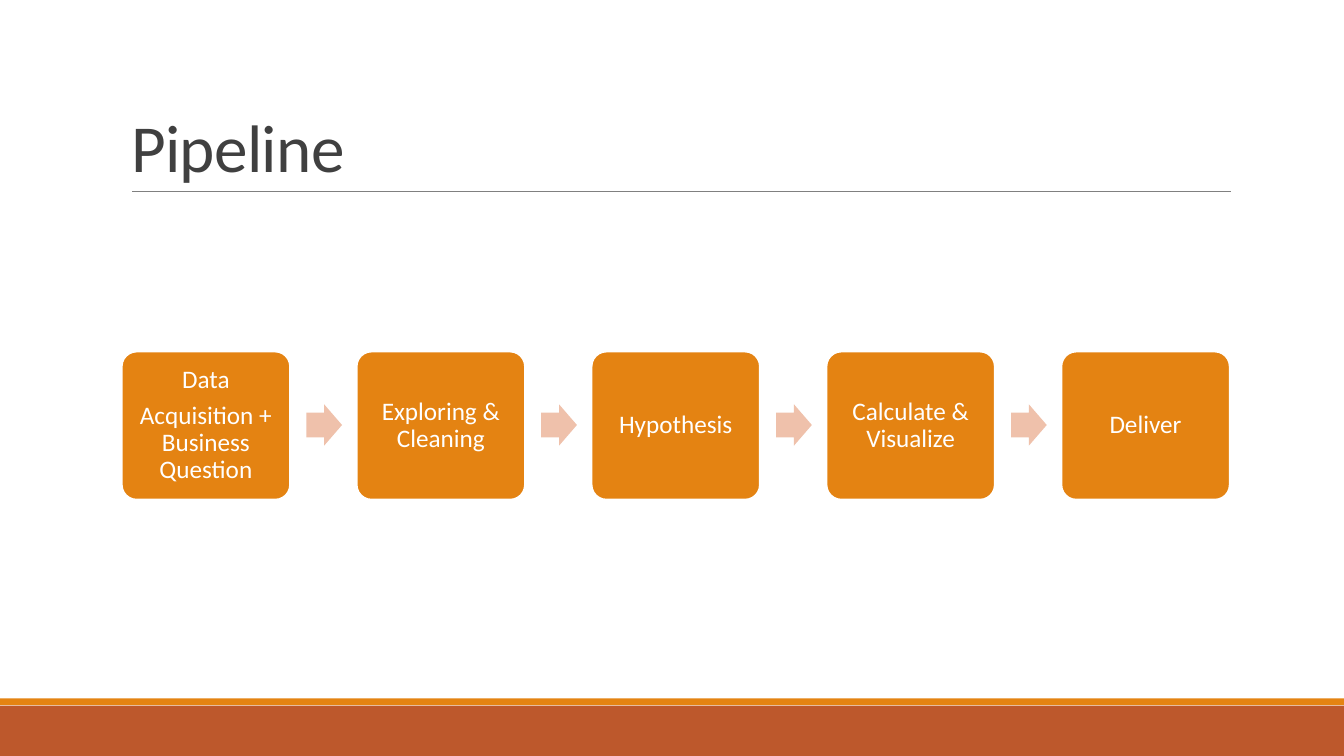
import pptx
import pptx.util
import pptx.dml.color
import pptx.enum.shapes
import pptx.enum.text
import pptx.oxml.ns
import lxml.etree

Cm = pptx.util.Cm
SHAPES = pptx.enum.shapes.MSO_SHAPE
ALIGN = pptx.enum.text.PP_ALIGN
ANCHOR = pptx.enum.text.MSO_ANCHOR

COLORS = {
    "orange": "E48312",
    "rust": "BD582C",
    "peach": "EFC1AB",
    "rule": "808080",
    "title": "404040",
    "white": "FFFFFF",
}
STAGES = [
    ["Data", "Acquisition + Business Question"],
    ["Exploring & Cleaning"],
    ["Hypothesis"],
    ["Calculate & Visualize"],
    ["Deliver"],
]


def rgb(name):
    return pptx.dml.color.RGBColor.from_string(COLORS[name])


def write(frame, paragraphs, size=18, color="white", align=ALIGN.CENTER,
          anchor=ANCHOR.MIDDLE, inset=None, leading=0.9, gap=6.3, tracking=None):
    frame.word_wrap = True
    frame.auto_size = pptx.enum.text.MSO_AUTO_SIZE.NONE
    frame.vertical_anchor = anchor
    if inset is not None:
        frame.margin_left = frame.margin_right = Cm(inset)
        frame.margin_top = frame.margin_bottom = Cm(inset)
    for index, text in enumerate(paragraphs):
        paragraph = frame.add_paragraph() if index else frame.paragraphs[0]
        paragraph.alignment = align
        paragraph.line_spacing = leading
        paragraph.space_before = pptx.util.Pt(gap if index else 0)
        run = paragraph.add_run()
        run.text = text
        run.font.name = "Calibri"
        run.font.size = pptx.util.Pt(size)
        run.font.color.rgb = rgb(color)
        if tracking is not None:
            run.font._element.set("spc", str(tracking))


class PipelineSlide:
    """Draws the elements of a process slide in one shared style."""

    def __init__(self, deck):
        self.slide = deck.slides.add_slide(deck.slide_layouts[5])

    def title(self, text, left, top, width, height):
        heading = self.slide.shapes.title
        heading.left, heading.top = Cm(left), Cm(top)
        heading.width, heading.height = Cm(width), Cm(height)
        write(heading.text_frame, [text], size=48, color="title", align=ALIGN.LEFT,
              anchor=ANCHOR.BOTTOM, leading=0.85, tracking=-50)

    def block(self, kind, left, top, width, height, fill, outline=None, adjust=()):
        block = self.slide.shapes.add_shape(kind, Cm(left), Cm(top), Cm(width), Cm(height))
        block.shadow.inherit = False
        block.fill.solid()
        block.fill.fore_color.rgb = rgb(fill)
        if outline:
            block.line.color.rgb = rgb(outline)
            block.line.width = pptx.util.Pt(1.25)
        else:
            block.line.fill.background()
        for index, value in enumerate(adjust):
            block.adjustments[index] = value
        return block

    def stage(self, paragraphs, left):
        card = self.block(SHAPES.ROUNDED_RECTANGLE, left, 8.86, 4.24, 3.73,
                          "orange", outline="white", adjust=[0.1])
        write(card.text_frame, paragraphs, inset=0.18)

    def arrow(self, left):
        self.block(SHAPES.RIGHT_ARROW, left, 10.19, 0.9, 1.04, "peach", adjust=[0.6, 0.5])

    def rule(self, left, right, y):
        rule = self.slide.shapes.add_connector(
            pptx.enum.shapes.MSO_CONNECTOR.STRAIGHT, Cm(left), Cm(y), Cm(right), Cm(y))
        rule.line.color.rgb = rgb("rule")
        rule.line.width = pptx.util.Pt(0.5)
        lxml.etree.SubElement(rule._element.spPr, pptx.oxml.ns.qn("a:effectLst"))


def main():
    deck = pptx.Presentation()
    deck.slide_width, deck.slide_height = Cm(33.87), Cm(19.05)
    page = PipelineSlide(deck)
    page.block(SHAPES.RECTANGLE, 0, 17.78, 33.87, 1.27, "rust")
    page.block(SHAPES.RECTANGLE, 0, 17.6, 33.87, 0.17, "orange")
    page.rule(3.33, 31.01, 4.83)
    page.title("Pipeline", 3.05, 0.79, 27.94, 4.03)

    first, pitch = 3.07, 5.92
    for index, paragraphs in enumerate(STAGES):
        left = first + index * pitch
        page.stage(paragraphs, left)
        if index < len(STAGES) - 1:
            page.arrow(left + 4.65)
    deck.save("out.pptx")


if __name__ == "__main__":
    main()
